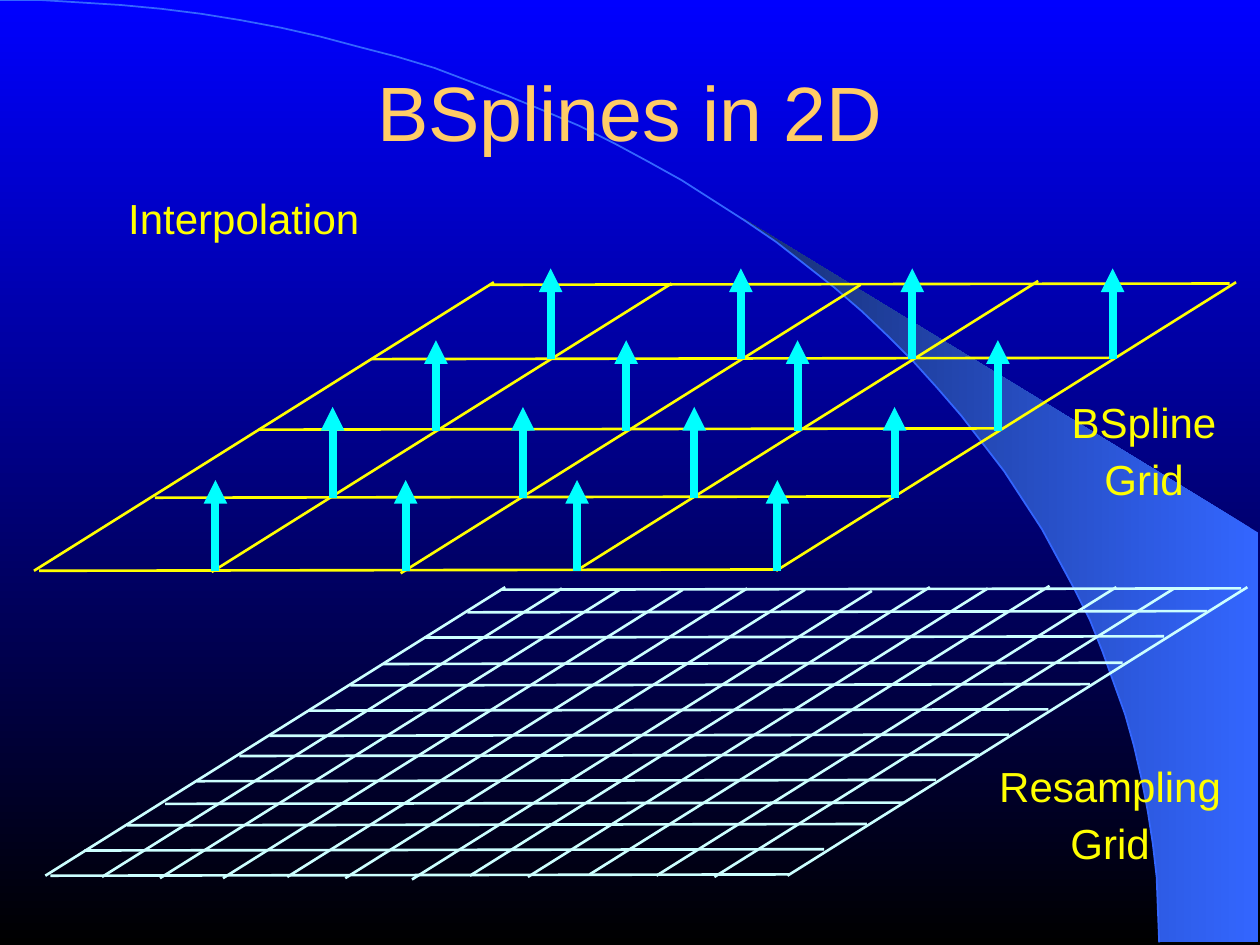
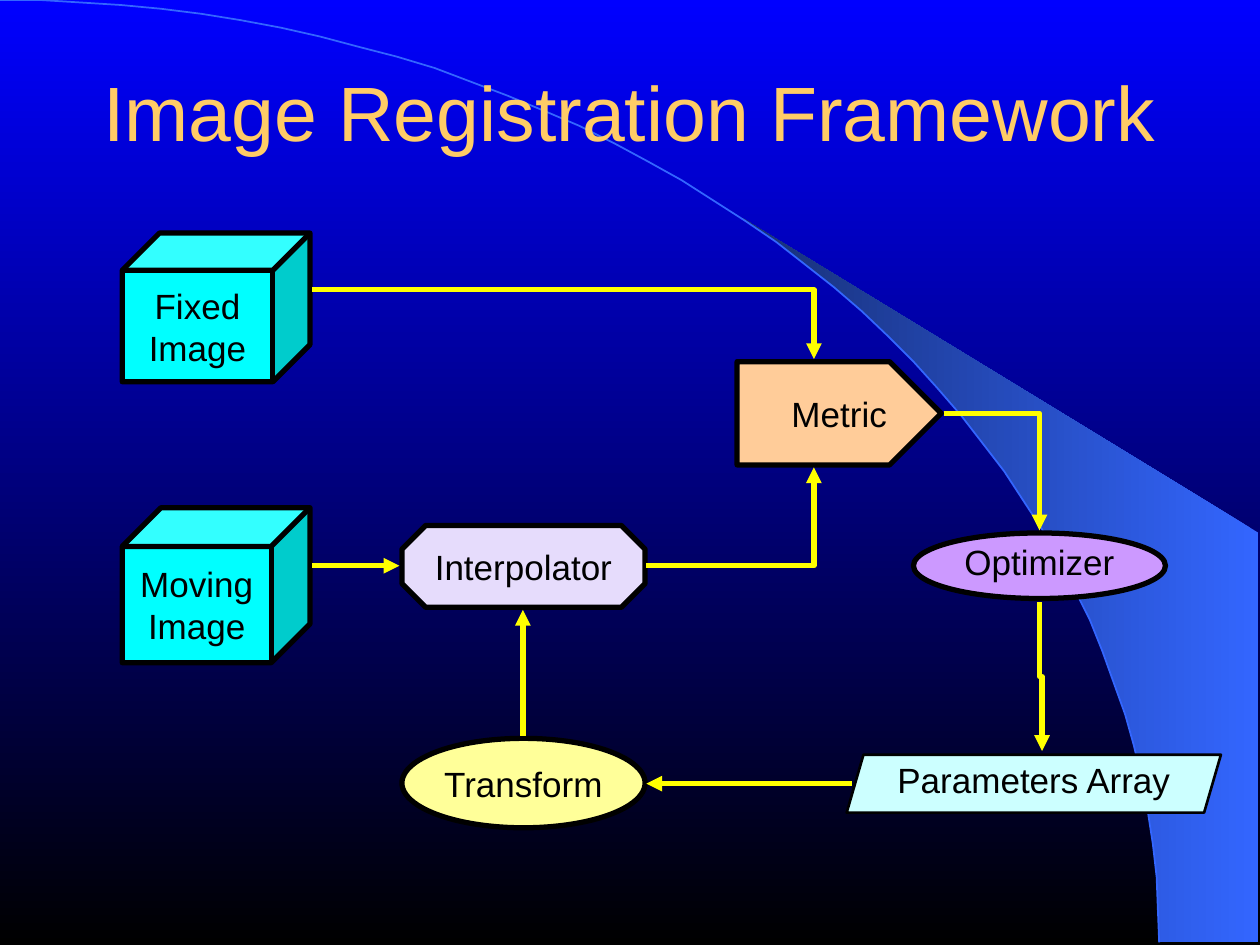
import math
from dataclasses import dataclass
from enum import Enum
from typing import Any, NamedTuple

import pptx
import pptx.dml.color
import pptx.enum.shapes
import pptx.enum.text
import pptx.oxml.ns
import pptx.util
from lxml import etree

SCALE = 9144
SLIDE_SIZE = (1000, 750)
PRESETS = pptx.enum.shapes.MSO_SHAPE
CONNECTORS = pptx.enum.shapes.MSO_CONNECTOR
ANCHORS = pptx.enum.text.MSO_ANCHOR
CENTER = pptx.enum.text.PP_ALIGN.CENTER
qn = pptx.oxml.ns.qn


@dataclass(frozen=True)
class Theme:
    font: str = "Arial"
    sky_top: str = "0000FF"
    sky_bottom: str = "000000"
    beam_bright: str = "3366FF"
    beam_dark: str = "172F75"
    title: str = "FFCC66"
    accent: str = "FFFF00"
    cyan: str = "00FFFF"
    pale_cyan: str = "CCFFFF"
    ink: str = "000000"
    peach: str = "FFCC99"
    lemon: str = "FFFF99"
    lavender: str = "E6DCFC"
    violet: str = "CC99FF"
    title_size: int = 44
    label_size: int = 24
    node_size: int = 20
    label_gap: int = 15
    hairline: float = 1
    thin: float = 1.5
    thick: float = 3
    heavy: float = 4.5


THEME = Theme()


class Point(NamedTuple):
    x: int
    y: int


class Box(NamedTuple):
    left: int
    top: int
    width: int
    height: int


class Route(Enum):
    STRAIGHT = 0
    CORNER = 1
    JOG = 2


@dataclass(frozen=True)
class Lattice:
    color: str
    column_feet: tuple[tuple[int, int], ...]
    row_starts: tuple[tuple[int, int], ...]


@dataclass(frozen=True)
class Label:
    box: Box
    lines: tuple[str, ...]
    spacing: float


@dataclass(frozen=True)
class Node:
    text: str
    box: Box
    fill: str
    preset: Any = None
    adjustment: float | None = None
    outline: float = THEME.thick
    spacing: float = 1.0


@dataclass(frozen=True)
class Flow:
    start: Point
    end: Point
    route: Route = Route.STRAIGHT


ARC_CENTER = Point(0, 748)
ARC_RADII = Point(920, 748)
COLUMN_RUN = Point(365, -229)
ROW_RUN = Point(587, -1)
METRIC_TIP = 41

BSPLINE_GRID = Lattice(
    THEME.accent,
    ((27, 453), (168, 454), (318, 455), (459, 452), (616, 453)),
    ((389, 226), (295, 285), (205, 341), (123, 395), (31, 453)),
)
RESAMPLING_GRID = Lattice(
    THEME.pale_cyan,
    ((36, 695), (81, 696), (127, 697), (177, 697), (228, 696), (274, 697), (327, 698),
     (373, 695), (419, 696), (468, 694), (521, 695), (567, 696), (625, 695)),
    ((398, 468), (371, 486), (337, 506), (304, 527), (278, 544), (245, 564), (214, 584),
     (190, 600), (156, 620), (131, 638), (101, 655), (67, 675), (40, 695)),
)
COEFFICIENT_ROWS = (Point(437, 285), Point(346, 342), Point(264, 395), Point(171, 453))
COEFFICIENT_OFFSETS = (0, 151, 287, 446)
COEFFICIENT_HEIGHT = 72

GRID_LABELS = (
    Label(Box(57, 156, 273, 42), ("Interpolation",), 0.8),
    Label(Box(831, 324, 154, 79), ("BSpline", "Grid"), 0.6),
    Label(Box(782, 613, 198, 79), ("Resampling", "Grid"), 0.6),
)

NODES = (
    Node("Fixed\nImage", Box(97, 185, 149, 118), THEME.cyan, PRESETS.CUBE, 0.25),
    Node("Moving\nImage", Box(97, 403, 149, 123), THEME.cyan, PRESETS.CUBE, 0.25),
    Node("Metric", Box(585, 287, 162, 82), THEME.peach),
    Node("Transform", Box(319, 586, 193, 71), THEME.lemon, PRESETS.OVAL),
    Node("Interpolator", Box(319, 417, 193, 65), THEME.lavender, PRESETS.OCTAGON, 0.29),
    Node("Optimizer", Box(725, 423, 200, 52), THEME.violet, PRESETS.OVAL, spacing=0.8),
    Node("Parameters Array", Box(672, 599, 297, 46), THEME.pale_cyan,
         PRESETS.PARALLELOGRAM, 0.29, THEME.thin, 0.8),
)
FLOWS = (
    Flow(Point(248, 230), Point(646, 285), Route.CORNER),
    Flow(Point(248, 449), Point(317, 449)),
    Flow(Point(513, 449), Point(646, 371), Route.CORNER),
    Flow(Point(415, 584), Point(415, 484)),
    Flow(Point(749, 328), Point(825, 421), Route.CORNER),
    Flow(Point(676, 622), Point(513, 622)),
    Flow(Point(825, 478), Point(828, 597), Route.JOG),
)


def emu(lengths: tuple[int, ...]) -> list[int]:
    return [length * SCALE for length in lengths]


def rgb(color: str) -> pptx.dml.color.RGBColor:
    return pptx.dml.color.RGBColor.from_string(color)


def apply_formats(target: Any, formats: dict[str, Any]) -> None:
    for name, value in formats.items():
        setattr(target, name, value)


def set_gradient(fill: Any, colors: tuple[str, str], angle: int) -> None:
    fill.gradient()
    fill.gradient_angle = angle
    for position, (stop, color) in enumerate(zip(fill.gradient_stops, colors)):
        stop.color.rgb = rgb(color)
        stop.position = position


def set_outline(line: Any, color: str, width: float) -> None:
    line.color.rgb = rgb(color)
    line.width = pptx.util.Pt(width)


def write_text(shape: Any, lines: tuple[str, ...], size: int, color: str,
               frame_formats: dict[str, Any], spacing: float = 1.0) -> None:
    frame = shape.text_frame
    apply_formats(frame, frame_formats)
    for index, words in enumerate(lines):
        paragraph = frame.add_paragraph() if index else frame.paragraphs[0]
        paragraph.text = words
        gap = THEME.label_gap if index else 0
        apply_formats(paragraph, {"alignment": CENTER, "line_spacing": spacing,
                                  "space_before": pptx.util.Pt(gap)})
        for run in paragraph.runs:
            apply_formats(run.font, {"name": THEME.font, "size": pptx.util.Pt(size)})
            run.font.color.rgb = rgb(color)


def draw_outline(slide: Any, points: list[Point], close: bool) -> Any:
    builder = slide.shapes.build_freeform(*points[0], scale=SCALE)
    builder.add_line_segments(points[1:], close=close)
    outline = builder.convert_to_shape()
    outline.shadow.inherit = False
    return outline


def arc_points(last_degree: int) -> list[Point]:
    angles = [math.radians(degree) for degree in range(0, last_degree + 1, 2)]
    return [Point(round(ARC_CENTER.x + ARC_RADII.x * math.cos(angle)),
                  round(ARC_CENTER.y - ARC_RADII.y * math.sin(angle))) for angle in angles]


def draw_line(slide: Any, start: Point, end: Point, color: str, width: float,
              arrow: bool = False, route: Route = Route.STRAIGHT) -> None:
    kind = CONNECTORS.STRAIGHT if route is Route.STRAIGHT else CONNECTORS.ELBOW
    if route is Route.JOG:
        half_x, half_y = (end.x - start.x) // 2, (end.y - start.y) // 2
        middle = Point(start.x + half_x, start.y + half_y)
        start = Point(middle.x + half_y, middle.y - half_x)
        end = Point(middle.x - half_y, middle.y + half_x)
    connector = slide.shapes.add_connector(kind, *emu(start + end))
    set_outline(connector.line, color, width)
    properties = connector._element.spPr
    if route is Route.CORNER:
        properties.find(qn("a:prstGeom")).set("prst", "bentConnector2")
    if route is Route.JOG:
        properties.find(qn("a:xfrm")).set("rot", "16200000")
    if arrow:
        etree.SubElement(properties.find(qn("a:ln")), qn("a:tailEnd"), type="triangle")
    etree.SubElement(properties, qn("a:effectLst"))


def draw_lattice(slide: Any, lattice: Lattice) -> None:
    for starts, run in ((lattice.column_feet, COLUMN_RUN), (lattice.row_starts, ROW_RUN)):
        for x, y in starts:
            draw_line(slide, Point(x, y), Point(x + run.x, y + run.y),
                      lattice.color, THEME.thin)


def draw_label(slide: Any, label: Label) -> None:
    caption = slide.shapes.add_textbox(*emu(label.box))
    write_text(caption, label.lines, THEME.label_size, THEME.accent,
               {"word_wrap": True}, label.spacing)


def draw_node(slide: Any, node: Node) -> None:
    left, top, width, height = node.box
    if node.preset is None:
        right, bottom, shoulder = left + width, top + height, left + width - METRIC_TIP
        stage = draw_outline(slide, [
            Point(left, top), Point(shoulder, top), Point(right, top + height // 2),
            Point(shoulder, bottom), Point(left, bottom)], True)
    else:
        stage = slide.shapes.add_shape(node.preset, *emu(node.box))
        stage.shadow.inherit = False
    if node.adjustment is not None:
        stage.adjustments[0] = node.adjustment
    stage.fill.solid()
    stage.fill.fore_color.rgb = rgb(node.fill)
    set_outline(stage.line, THEME.ink, node.outline)
    write_text(stage, (node.text,), THEME.node_size, THEME.ink,
               {"word_wrap": False, "vertical_anchor": ANCHORS.MIDDLE}, node.spacing)


def add_titled_slide(deck: Any, title: str) -> Any:
    slide = deck.slides.add_slide(deck.slide_layouts[6])
    set_gradient(slide.background.fill, (THEME.sky_top, THEME.sky_bottom), 270)
    beam = draw_outline(slide, arc_points(50) + [Point(589, 173), Point(999, 423),
                                                 Point(999, 748)], True)
    set_gradient(beam.fill, (THEME.beam_bright, THEME.beam_dark), 180)
    beam.line.fill.background()
    horizon = draw_outline(slide, arc_points(90), False)
    horizon.fill.background()
    set_outline(horizon.line, THEME.beam_bright, THEME.hairline)
    heading = slide.shapes.add_textbox(*emu(Box(75, 12, 850, 151)))
    margins = {f"margin_{side}": 0 for side in ("left", "top", "right", "bottom")}
    write_text(heading, (title,), THEME.title_size, THEME.title,
               {"word_wrap": True, "vertical_anchor": ANCHORS.MIDDLE, **margins})
    return slide


def build_bsplines(deck: Any) -> None:
    slide = add_titled_slide(deck, "BSplines in 2D")
    draw_lattice(slide, BSPLINE_GRID)
    for row in COEFFICIENT_ROWS:
        for offset in COEFFICIENT_OFFSETS:
            foot = Point(row.x + offset, row.y)
            draw_line(slide, foot, Point(foot.x, foot.y - COEFFICIENT_HEIGHT),
                      THEME.cyan, THEME.heavy, arrow=True)
    draw_lattice(slide, RESAMPLING_GRID)
    for label in GRID_LABELS:
        draw_label(slide, label)


def build_framework(deck: Any) -> None:
    slide = add_titled_slide(deck, "Image Registration Framework")
    for node in NODES:
        draw_node(slide, node)
    for flow in FLOWS:
        draw_line(slide, flow.start, flow.end, THEME.accent, THEME.thick, True, flow.route)


def main() -> None:
    deck = pptx.Presentation()
    deck.slide_width, deck.slide_height = emu(SLIDE_SIZE)
    build_bsplines(deck)
    build_framework(deck)
    deck.save("out.pptx")


if __name__ == "__main__":
    main()
